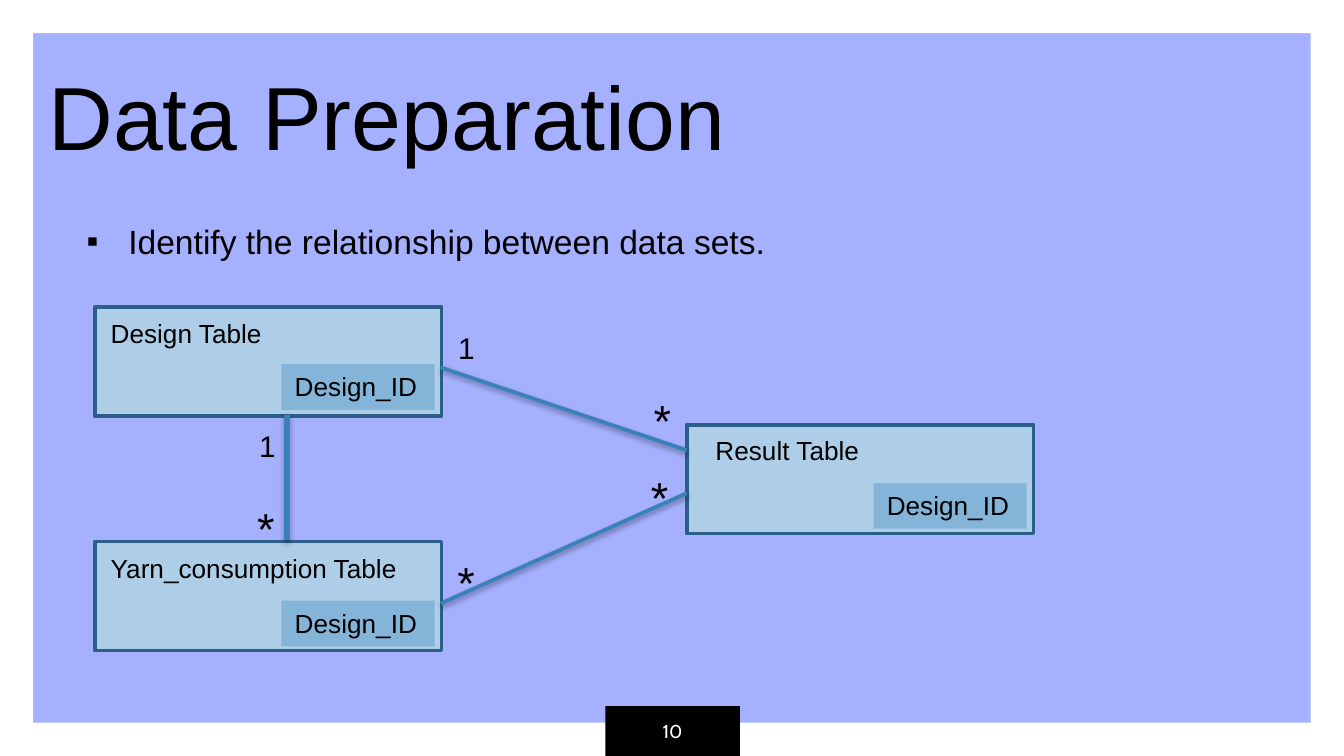
"""Build the data preparation slide with its table relationship diagram."""
from lxml.etree import SubElement
from pptx import Presentation
from pptx.dml.color import RGBColor
from pptx.enum.shapes import MSO_CONNECTOR as Connector, MSO_SHAPE as Shape
from pptx.enum.text import MSO_ANCHOR as Anchor, MSO_AUTO_SIZE as Fit, PP_ALIGN as Align
from pptx.oxml.ns import qn
from pptx.util import Pt

PX = 4572
SLIDE_SIZE = (2000, 1125)
COLORS = {
    "background": "A5B0FE",
    "frame": "FFFFFF",
    "tab": "000000",
    "number": "FFFFFF",
    "text": "000000",
    "table": "AECDE6",
    "border": "2B5F8A",
    "key": "85B4D9",
    "relation": "3A81BA",
}
TABLE_SIZE = (516, 162)
KEY_SIZE = (228, 68)
TABLES = [
    ("Design Table", (141, 457), (4, 6), 340, 85),
    ("Result Table", (1022, 632), (23, 5), 340, 87),
    ("Yarn_consumption Table", (141, 806), (4, 6), 478, 88),
]
RELATIONS = [
    ((656, 547), (1022, 670), 2, 38),
    ((656, 898), (1022, 734), 2, 38),
    ((427, 804), (427, 617), 3, 35),
]
CARDINALITIES = [
    ("1", 366, 627),
    ("*", 363, 736),
    ("1", 662, 481),
    ("*", 953, 574),
    ("*", 661, 816),
    ("*", 949, 689),
]
CARDINALITY_FORMATS = {"1": (16, 74), "*": (24, 100)}


def rgb(name):
    """Return the palette colour with this name."""
    return RGBColor.from_string(COLORS[name])


def emu(*lengths):
    """Turn px lengths into EMU."""
    return [length * PX for length in lengths]


def apply_format(target, values):
    """Set every attribute in values on target."""
    for attribute, value in values.items():
        setattr(target, attribute, value)


def write(holder, text, size, font="Arial", color="text", align=Align.LEFT, **frame_values):
    """Write one formatted paragraph into a holder and return it."""
    frame = holder.text_frame
    apply_format(frame, {"word_wrap": True, "auto_size": Fit.NONE, **frame_values})
    paragraph = frame.paragraphs[0]
    apply_format(paragraph, {"alignment": align, "space_before": Pt(0)})
    run = paragraph.add_run()
    run.text = text
    apply_format(run.font, {"name": font, "size": Pt(size)})
    run.font.color.rgb = rgb(color)
    return paragraph


def place(holder, *box):
    """Move a placeholder to a px box."""
    apply_format(holder, dict(zip(("left", "top", "width", "height"), emu(*box))))


def add_block(slide, kind, box, fill, border=None):
    """Add a flat filled shape, with a border if one is named."""
    block = slide.shapes.add_shape(kind, *emu(*box))
    block.shadow.inherit = False
    block.fill.solid()
    block.fill.fore_color.rgb = rgb(fill)
    if border:
        block.line.color.rgb = rgb(border)
        block.line.width = Pt(2)
    else:
        block.line.fill.background()
    return block


def add_label(slide, text, box, size, wrap=True):
    """Add a text box that grows with its text."""
    label = slide.shapes.add_textbox(*emu(*box))
    write(label, text, size, word_wrap=wrap, auto_size=Fit.SHAPE_TO_FIT_TEXT)


def add_table_box(slide, name, corner, offset, label_width, key_drop):
    """Add a data table box with its name and key field."""
    left, top = corner
    add_block(slide, Shape.RECTANGLE, (*corner, *TABLE_SIZE), "table", "border")
    add_label(slide, name, (left + offset[0], top + offset[1], label_width, 68), 14)
    key_box = (left + 278, top + key_drop, *KEY_SIZE)
    key = add_block(slide, Shape.RECTANGLE, key_box, "key")
    write(key, "Design_ID", 14, vertical_anchor=Anchor.TOP, auto_size=Fit.SHAPE_TO_FIT_TEXT)


def add_relation(slide, start, end, width, opacity):
    """Add a relationship line with a soft shadow below it."""
    relation = slide.shapes.add_connector(Connector.STRAIGHT, *emu(*start, *end))
    relation.line.color.rgb = rgb("relation")
    relation.line.width = Pt(width)
    effects = SubElement(relation._element.spPr, qn("a:effectLst"))
    shadow = SubElement(effects, qn("a:outerShdw"), blurRad=str(Pt(3.1)), dist=str(Pt(1.6)),
                        dir="5400000", rotWithShape="0")
    shade = SubElement(shadow, qn("a:srgbClr"), val=COLORS["text"])
    SubElement(shade, qn("a:alpha"), val=str(opacity * 1000))


def add_bullet(paragraph, indent):
    """Give a paragraph a square bullet with a hanging indent."""
    properties = paragraph._p.get_or_add_pPr()
    properties.set("marL", str(indent * PX))
    properties.set("indent", str(-indent * PX))
    color = SubElement(properties, qn("a:buClr"))
    SubElement(color, qn("a:srgbClr"), val=COLORS["text"])
    SubElement(properties, qn("a:buFont"), typeface="Arial")
    SubElement(properties, qn("a:buChar"), char="▪")


def add_backdrop(slide):
    """Add the background, the frame and the page number tab."""
    slide.background.fill.solid()
    slide.background.fill.fore_color.rgb = rgb("background")
    frame = add_block(slide, Shape.FRAME, (0, 0, *SLIDE_SIZE), "frame")
    frame.adjustments[0] = 0.044
    tab = add_block(slide, Shape.RECTANGLE, (901, 1051, 200, 74), "tab")
    write(tab, "10", 10, "Cabin", "number", Align.CENTER, vertical_anchor=Anchor.MIDDLE)


def add_heading(slide):
    """Fill the title and body placeholders."""
    title, body = slide.placeholders
    place(title, 52, 18, 1612, 253)
    margins = {f"margin_{side}": 20 * PX for side in ("left", "top", "right", "bottom")}
    write(title, "Data Preparation", 48, vertical_anchor=Anchor.BOTTOM, **margins)
    place(body, 109, 318, 1656, 80)
    statement = write(body, "Identify the relationship between data sets.", 18,
                      vertical_anchor=Anchor.TOP, auto_size=Fit.SHAPE_TO_FIT_TEXT)
    add_bullet(statement, 62)


def main():
    """Build and save the slide."""
    deck = Presentation()
    deck.slide_width, deck.slide_height = emu(*SLIDE_SIZE)
    slide = deck.slides.add_slide(deck.slide_layouts[1])
    add_backdrop(slide)
    add_heading(slide)
    for table in TABLES:
        add_table_box(slide, *table)
    for relation in RELATIONS:
        add_relation(slide, *relation)
    for mark, left, top in CARDINALITIES:
        size, height = CARDINALITY_FORMATS[mark]
        add_label(slide, mark, (left, top, 66, height), size, wrap=False)
    deck.save("out.pptx")


if __name__ == "__main__":
    main()
